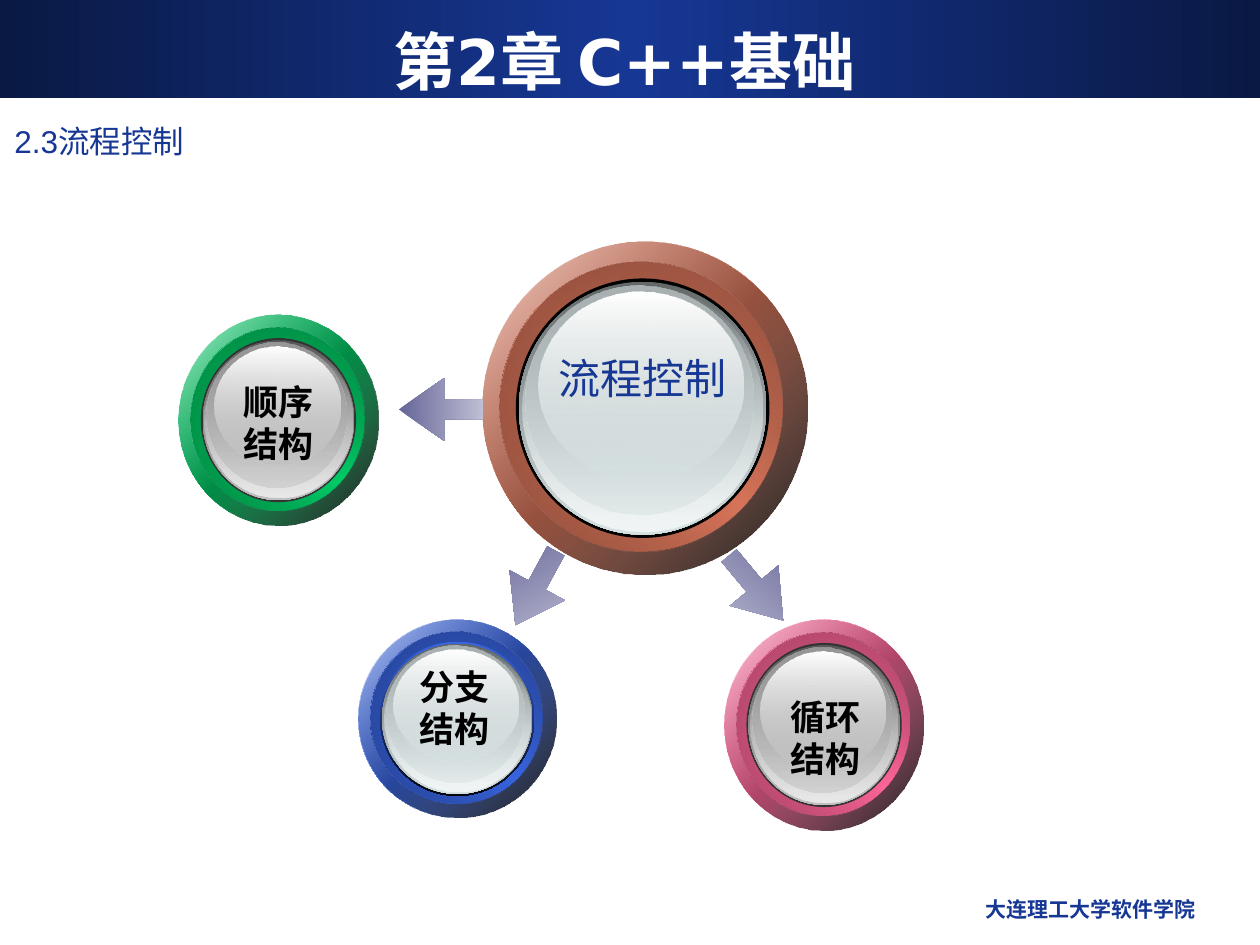
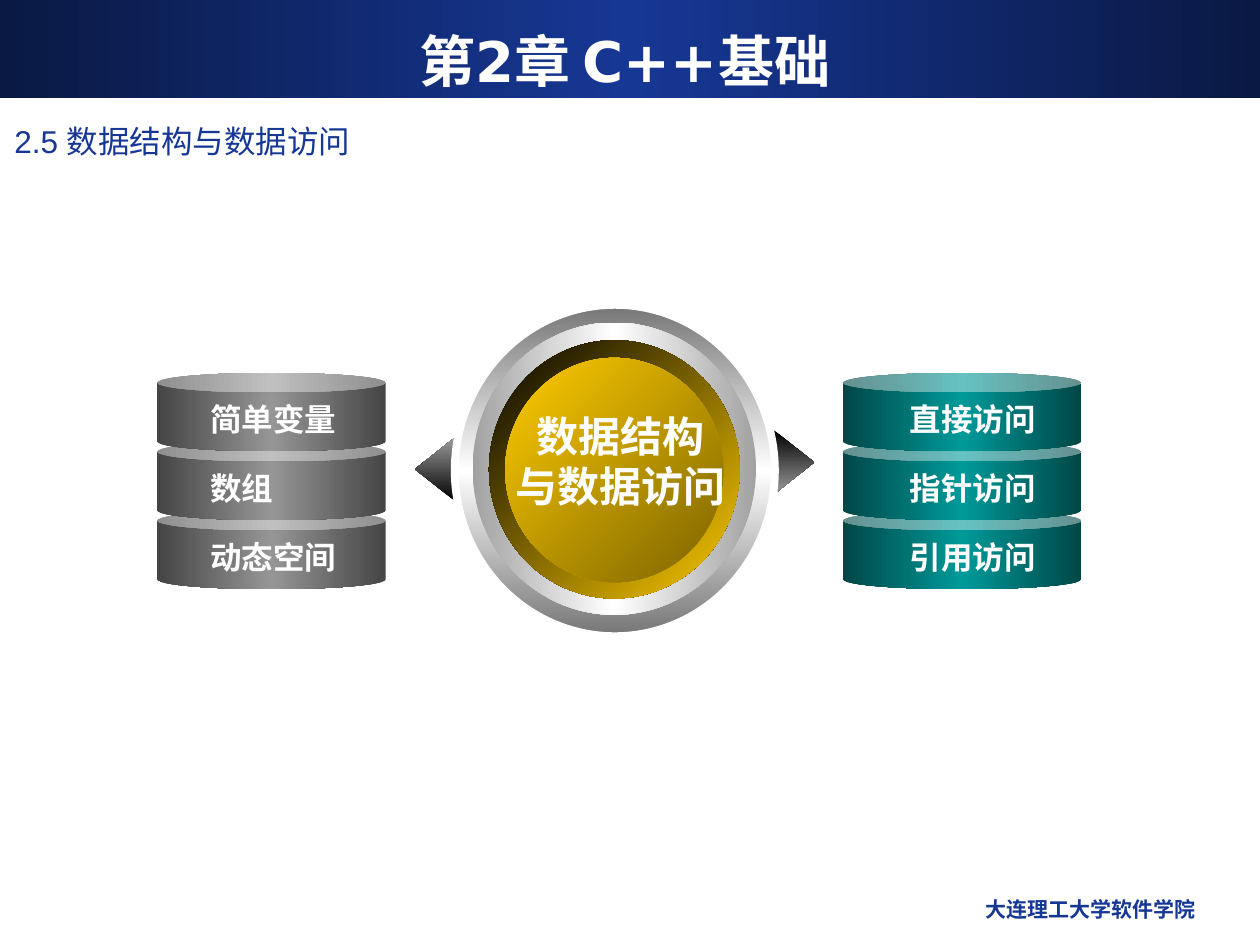
from lxml.etree import SubElement
from pptx import Presentation
from pptx.dml.color import RGBColor
from pptx.enum.shapes import MSO_SHAPE as Shape
from pptx.enum.text import MSO_ANCHOR as Anchor, MSO_AUTO_SIZE as AutoSize, PP_ALIGN as Align
from pptx.oxml.ns import qn
from pptx.util import Pt

NAVY = RGBColor(0x16, 0x37, 0x94)
NAVY_DARK = RGBColor(0x0A, 0x19, 0x44)
WHITE = RGBColor(0xFF, 0xFF, 0xFF)
BLACK = RGBColor(0x00, 0x00, 0x00)
CHARCOAL = RGBColor(0x33, 0x33, 0x33)
COPPER = RGBColor(0xD8, 0x75, 0x5A)
PINK = RGBColor(0xFF, 0x66, 0x99)
GREEN = RGBColor(0x00, 0xCC, 0x66)
BLUE = RGBColor(0x39, 0x65, 0xE1)
BLUE_BLACK = RGBColor(0x03, 0x06, 0x0D)
ARROW = RGBColor(0x66, 0x66, 0x99)
ARROW_LIGHT = RGBColor(0xBE, 0xBE, 0xD4)
STEEL = RGBColor(0x76, 0x76, 0x76)
SILVER = RGBColor(0xA2, 0xA2, 0xA2)
POINTER = RGBColor(0x9B, 0x9B, 0x9B)
GOLD = RGBColor(0xFF, 0xCC, 0x00)
GOLD_DARK = RGBColor(0x7C, 0x63, 0x00)
GRAY = RGBColor(0x96, 0x96, 0x96)
GRAY_DARK = RGBColor(0x45, 0x45, 0x45)
TEAL = RGBColor(0x00, 0x99, 0x99)
TEAL_DARK = RGBColor(0x00, 0x47, 0x47)
MINT_GLASS = (RGBColor(0x63, 0x68, 0x69), RGBColor(0xAA, 0xB2, 0xB3),
              RGBColor(0xD6, 0xE1, 0xE2), RGBColor(0xF1, 0xF5, 0xF5))
GRAY_GLASS = (RGBColor(0x59, 0x59, 0x59), RGBColor(0x98, 0x98, 0x98),
              RGBColor(0xC0, 0xC0, 0xC0), RGBColor(0xE9, 0xE9, 0xE9))


def add_figure(slide, kind, box, stops, angle=0, rotation=0, adjustments=()):
    figure = slide.shapes.add_shape(kind, *map(Pt, box))
    figure.shadow.inherit = False
    figure.line.fill.background()
    figure.rotation = rotation
    for index, value in enumerate(adjustments):
        figure.adjustments[index] = value
    if len(stops) == 1:
        figure.fill.solid()
        figure.fill.fore_color.rgb = stops[0]
        return figure
    figure.fill.gradient()
    figure.fill.gradient_angle = (360 - angle) % 360
    gradient = figure.element.spPr.find(qn("a:gradFill"))
    gradient.set("rotWithShape", "0")
    stop_list = gradient.find(qn("a:gsLst"))
    for default_stop in list(stop_list):
        stop_list.remove(default_stop)
    for index, stop in enumerate(stops):
        color, opacity = stop if isinstance(stop[0], RGBColor) else (stop, 100)
        position = 100000 * index // (len(stops) - 1)
        entry = SubElement(stop_list, qn("a:gs"), pos=str(position))
        rgb = SubElement(entry, qn("a:srgbClr"), val=str(color))
        if opacity < 100:
            SubElement(rgb, qn("a:alpha"), val=str(opacity * 1000))
    return figure


def add_text(slide, box, lines, size, color, bold=False, font="Arial",
             align=Align.CENTER, anchor=Anchor.TOP, wrap=False):
    frame = slide.shapes.add_textbox(*map(Pt, box)).text_frame
    frame.word_wrap = wrap
    frame.auto_size = AutoSize.NONE if wrap else AutoSize.SHAPE_TO_FIT_TEXT
    frame.vertical_anchor = anchor
    frame.text = lines
    for paragraph in frame.paragraphs:
        paragraph.alignment = align
        paragraph.font.size = Pt(size)
        paragraph.font.name = font
        paragraph.font.bold = bold
        paragraph.font.color.rgb = color


presentation = Presentation()
presentation.slide_width = Pt(720)
presentation.slide_height = Pt(540)

pages = []
for section, title_size in (("2.3流程控制", 36), ("2.5 数据结构与数据访问", 32)):
    page = presentation.slides.add_slide(presentation.slide_layouts[6])
    add_figure(page, Shape.RECTANGLE, (0, 0, 720, 56), (NAVY_DARK, NAVY, NAVY_DARK))
    add_text(page, (462, 509, 228.2, 25), "大连理工大学软件学院", 12, NAVY, True,
             "DejaVu Sans", Align.RIGHT, wrap=True)
    add_text(page, (1.1, 66.2, 666, 29), section, 18, NAVY, align=Align.LEFT, wrap=True)
    add_text(page, (23.9, 12.2, 666, 44.6), "第2章 C++基础", title_size, WHITE, True,
             "DejaVu Sans", anchor=Anchor.MIDDLE, wrap=True)
    pages.append(page)
control_page, data_page = pages

medallions = (
    ((275.8, 138.2, 185.8, 190.1), -1.5, COPPER, (BLACK,), MINT_GLASS,
     "流程控制", (307.4, 198, 120, 36), 24, NAVY, False),
    ((414, 354.2, 113.8, 120.2), 0, PINK, (CHARCOAL,), GRAY_GLASS,
     "循环\n结构", (441.5, 393.8, 60, 55.4), 20, BLACK, True),
    ((102.2, 180, 113.8, 120.2), 0, GREEN, (CHARCOAL,), GRAY_GLASS,
     "顺序\n结构", (129.4, 213.8, 60, 55.4), 20, BLACK, True),
    ((204.8, 354.2, 113, 113), 0, BLUE, (BLUE, BLUE_BLACK), MINT_GLASS,
     "分支\n结构", (229.5, 376.6, 60, 55.4), 20, BLACK, True),
)
for (left, top, width, height), shift, accent, well, glass, *label in medallions:
    rim_edge, rim_dark = (RGBColor(*(int(part * shade) for part in accent))
                          for shade in (0.54, 0.635))
    glass_dark, glass_mid, glass_base, glass_light = glass
    layers = (
        (0, 0, 1, 1, (WHITE, accent, WHITE), 45),
        (0, 0, 1, 1, ((accent, 32), (BLACK, 90)), 45),
        (0.06, 0.06, 0.87, 0.87, (rim_edge, accent, rim_edge), 315),
        (0.06, 0.06, 0.87, 0.87, (rim_dark, (accent, 0)), 45),
        (0.11, 0.11, 0.78, 0.78, well, 90),
        (0.12, 0.12, 0.76, 0.76, (glass_dark, glass_base), 90),
        (0.13, 0.13, 0.74, 0.74, ((glass_base, 0), glass_light), 90),
        (0.14, 0.13, 0.7, 0.69, (glass_mid, (glass_base, 48)), 90),
        (0.18, 0.15, 0.63, 0.56, (WHITE, (glass_base, 38)), 90),
    )
    for x, y, w, h, stops, angle in layers:
        inner_shift = shift if x else 0
        add_figure(control_page, Shape.OVAL,
                   (left + x * width + inner_shift, top + y * height, w * width, h * height),
                   stops, angle)
    text, label_box, size, color, bold = label
    add_text(control_page, label_box, text, size, color, bold)
    if accent == COPPER:
        for x, y, rotation, angle in ((282, 318, 298.6, 61), (228, 216, 0, 0),
                                      (408, 318, 230.2, 130)):
            add_figure(control_page, Shape.LEFT_ARROW, (x, y, 48.2, 36),
                       (ARROW, ARROW_LIGHT), angle, rotation, (0.31, 0.72))

for x, y, rotation in ((230.4, 256.6, 270), (435.6, 252.7, 90)):
    add_figure(data_page, Shape.UP_ARROW, (x, y, 36.4, 23), (BLACK, POINTER),
               rotation, rotation, (0.52, 1))

outer_ring = add_figure(data_page, Shape.OVAL, (259.9, 174.2, 182.9, 189.4),
                        (STEEL, WHITE, STEEL), 90)
outer_ring.line.color.rgb = WHITE
outer_ring.line.width = Pt(4.5)
for ring_box, stops, angle in (
    ((270, 184.3, 162, 167), (SILVER, WHITE, SILVER), 0),
    ((279.4, 194.4, 143.3, 147.6), (BLACK, GOLD), 45),
    ((288.7, 204.5, 124.6, 128.2), (GOLD, GOLD_DARK), 45),
):
    add_figure(data_page, Shape.OVAL, ring_box, stops, angle)
add_text(data_page, (284.8, 230.8, 140, 64.8), "数据结构\n与数据访问", 24, WHITE, True)

stacks = (
    (89.8, 130.6, 113, GRAY, GRAY_DARK, ("简单变量", "数组", "动态空间")),
    (481.7, 136.3, 512.6, TEAL, TEAL_DARK, ("直接访问", "指针访问", "引用访问")),
)
for left, width, label_left, color, edge, entries in stacks:
    for row in reversed(range(len(entries))):
        add_figure(data_page, Shape.CAN, (left, 213.1 + 39.4 * row, width, 44.8),
                   (edge, color, edge))
    for row, entry in enumerate(entries):
        add_text(data_page, (label_left, 224.8 + 39.6 * row, 14.4 + 18 * len(entry), 28.8),
                 entry, 18, WHITE, True)

presentation.save("out.pptx")
